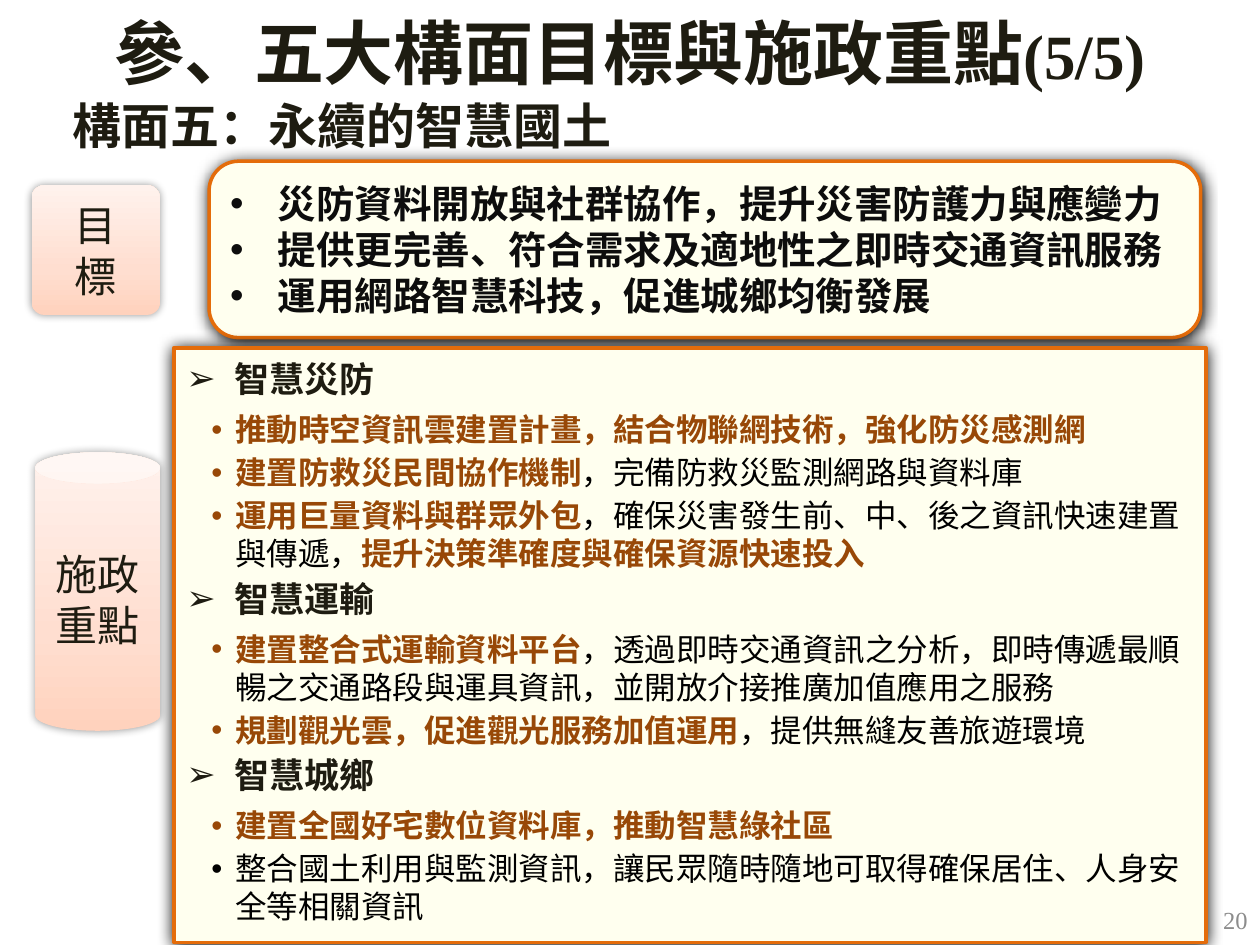
from dataclasses import dataclass

from pptx import Presentation
from pptx.dml.color import RGBColor
from pptx.enum.shapes import MSO_SHAPE
from pptx.enum.text import MSO_ANCHOR, MSO_AUTO_SIZE, PP_ALIGN
from pptx.oxml import parse_xml
from pptx.oxml.ns import nsdecls, qn
from pptx.util import Inches, Pt

INK = RGBColor(0x1E, 0x1C, 0x11)
NEAR_BLACK = RGBColor(0x0D, 0x0D, 0x0D)
BLACK = RGBColor(0x00, 0x00, 0x00)
BROWN = RGBColor(0x98, 0x48, 0x07)
GRAY = RGBColor(0x8C, 0x8C, 0x8C)
CREAM = RGBColor(0xFF, 0xFF, 0xEF)
ORANGE = RGBColor(0xE4, 0x6C, 0x0A)
PEACH_STOPS = (
    (0, RGBColor(0xFF, 0xD2, 0xBD)),
    (35, RGBColor(0xFF, 0xDE, 0xD0)),
    (100, RGBColor(0xFF, 0xF2, 0xED)),
)
SANS = "Noto Sans CJK SC"
SERIF = "Times New Roman"


@dataclass(frozen=True)
class Box:
    left: float
    top: float
    width: float
    height: float

    def lengths(self) -> tuple:
        return tuple(Inches(v) for v in (self.left, self.top, self.width, self.height))


@dataclass(frozen=True)
class TextStyle:
    size: int
    color: RGBColor
    font: str = SANS
    bold: bool = False
    align: PP_ALIGN = PP_ALIGN.LEFT
    bullet: str = ""
    margin: float = 0
    indent: float = 0
    space_after: int = 0
    level: int = 0


@dataclass(frozen=True)
class Label:
    text: str
    kind: MSO_SHAPE
    box: Box
    inset: float


@dataclass(frozen=True)
class Detail:
    strong: str = ""
    plain: str = ""
    ending: str = ""


@dataclass(frozen=True)
class Topic:
    heading: str
    details: tuple


TITLE = TextStyle(40, INK, SERIF, True, PP_ALIGN.CENTER)
SUBTITLE = TextStyle(28, INK, bold=True)
PAGE_NUMBER = TextStyle(14, GRAY, SERIF, align=PP_ALIGN.RIGHT)
LABEL = TextStyle(24, INK, align=PP_ALIGN.CENTER)
GOAL = TextStyle(22, NEAR_BLACK, bold=True, bullet="•", margin=0.38, indent=-0.38)
HEADING = TextStyle(20, INK, SERIF, True, bullet="➢", margin=0.38, indent=-0.38, space_after=6)
DETAIL = TextStyle(18, BLACK, SERIF, bullet="•", margin=0.39, indent=-0.19, space_after=3, level=1)

GOALS = (
    "災防資料開放與社群協作,提升災害防護力與應變力".replace(",", ","),
    "提供更完善、符合需求及適地性之即時交通資訊服務",
    "運用網路智慧科技,促進城鄉均衡發展".replace(",", ","),
)
TOPICS = (
    Topic("智慧災防", (
        Detail("推動時空資訊雲建置計畫\uff0c結合物聯網技術\uff0c強化防災感測網"),
        Detail("建置防救災民間協作機制", "\uff0c完備防救災監測網路與資料庫"),
        Detail("運用巨量資料與群眾外包", "\uff0c確保災害發生前、中、後之資訊快速建置與傳遞\uff0c",
               "提升決策準確度與確保資源快速投入"),
    )),
    Topic("智慧運輸", (
        Detail("建置整合式運輸資\uf9be平台",
               "\uff0c透過即時交通資訊之分析\uff0c即時傳遞最順暢之交通路段與運具資訊"
               "\uff0c並開放介接推廣加值應用之服務"),
        Detail("規劃觀光雲\uff0c促進觀光服務加值運用", "\uff0c提供無縫友善旅遊環境"),
    )),
    Topic("智慧城鄉", (
        Detail("建置全國好宅數位資料庫\uff0c推動智慧綠社區"),
        Detail(plain="整合國土利用與監測資訊\uff0c讓民眾隨時隨地可取得確保居住、人身安全等相關資訊"),
    )),
)
LABELS = (
    Label("施政重點", MSO_SHAPE.CAN, Box(0.28, 3.59, 0.99, 2.21), 0.1),
    Label("目標", MSO_SHAPE.ROUNDED_RECTANGLE, Box(0.25, 1.47, 1.02, 1.03), 0.15),
)


def next_paragraph(frame):
    first = frame.paragraphs[0]
    return frame.add_paragraph() if first.runs else first


def format_paragraph(paragraph, style: TextStyle) -> None:
    paragraph.alignment = style.align
    paragraph.level = style.level
    paragraph.space_before = Pt(0)
    paragraph.space_after = Pt(style.space_after)
    properties = paragraph._p.get_or_add_pPr()
    if style.bullet:
        properties.set("marL", str(Inches(style.margin)))
        properties.set("indent", str(Inches(style.indent)))
        properties.append(parse_xml(f'<a:buFont {nsdecls("a")} typeface="Arial"/>'))
        properties.append(parse_xml(f'<a:buChar {nsdecls("a")} char="{style.bullet}"/>'))
    font = paragraph.font
    font.size = Pt(style.size)
    font.bold = style.bold
    font.color.rgb = style.color
    font.name = style.font
    properties.find(qn("a:defRPr")).append(
        parse_xml(f'<a:ea {nsdecls("a")} typeface="{SANS}"/>'))


def write(frame, text: str, style: TextStyle):
    paragraph = next_paragraph(frame)
    paragraph.add_run().text = text
    format_paragraph(paragraph, style)
    return paragraph


def write_detail(frame, detail: Detail) -> None:
    paragraph = next_paragraph(frame)
    format_paragraph(paragraph, DETAIL)
    for text, strong in ((detail.strong, True), (detail.plain, False), (detail.ending, True)):
        if text:
            run = paragraph.add_run()
            run.text = text
            if strong:
                run.font.bold = True
                run.font.color.rgb = BROWN


def add_shadow(shape, alpha: int, blur: float, distance: float) -> None:
    shape.shadow.inherit = False
    effects = shape._element.spPr.find(qn("a:effectLst"))
    effects.append(parse_xml(
        f'<a:outerShdw {nsdecls("a")} blurRad="{Pt(blur)}" dist="{Pt(distance)}" '
        f'dir="5400000" rotWithShape="0"><a:srgbClr val="000000">'
        f'<a:alpha val="{alpha * 1000}"/></a:srgbClr></a:outerShdw>'))


def add_panel(slide, kind: MSO_SHAPE, box: Box, anchor: MSO_ANCHOR):
    shape = slide.shapes.add_shape(kind, *box.lengths())
    shape.fill.solid()
    shape.fill.fore_color.rgb = CREAM
    shape.line.color.rgb = ORANGE
    shape.line.width = Pt(2)
    add_shadow(shape, 100, 8.5, 1)
    frame = shape.text_frame
    frame.word_wrap = True
    frame.vertical_anchor = anchor
    frame.margin_left = Inches(0.1)
    frame.margin_right = frame.margin_top = frame.margin_bottom = Inches(0.08)
    return shape


def add_label(slide, label: Label) -> None:
    shape = slide.shapes.add_shape(label.kind, *label.box.lengths())
    if label.kind == MSO_SHAPE.ROUNDED_RECTANGLE:
        shape.adjustments[0] = 0.1
    shape.fill.gradient()
    shape.fill.gradient_angle = 90
    stops = shape._element.spPr.find(qn("a:gradFill")).find(qn("a:gsLst"))
    stops.clear()
    for position, color in PEACH_STOPS:
        stops.append(parse_xml(
            f'<a:gs {nsdecls("a")} pos="{position * 1000}"><a:srgbClr val="{color}"/></a:gs>'))
    shape.line.fill.background()
    add_shadow(shape, 40, 5, 0)
    frame = shape.text_frame
    frame.word_wrap = True
    frame.vertical_anchor = MSO_ANCHOR.MIDDLE
    frame.margin_left = frame.margin_right = Inches(label.inset)
    write(frame, label.text, LABEL)


def add_text(slide, box: Box, text: str, style: TextStyle, wrap: bool, anchor: MSO_ANCHOR):
    frame = slide.shapes.add_textbox(*box.lengths()).text_frame
    frame.word_wrap = wrap
    frame.vertical_anchor = anchor
    return write(frame, text, style)


presentation = Presentation()
presentation.slide_width, presentation.slide_height = Inches(10), Inches(7.5)
slide = presentation.slides.add_slide(presentation.slide_layouts[5])

title = slide.shapes.title
title.left, title.top, title.width, title.height = Box(0, 0.01, 10, 0.79).lengths()
title.text_frame.auto_size = MSO_AUTO_SIZE.NONE
title.text_frame.vertical_anchor = MSO_ANCHOR.MIDDLE
page_run = write(title.text_frame, "參、五大構面目標與施政重點", TITLE).add_run()
page_run.text = "(5/5)"
page_run.font.size = Pt(36)

subtitle = add_text(slide, Box(0.48, 0.76, 4.52, 0.53), "構面五:永續的智慧國土".replace(":", "\uff1a"),
                    SUBTITLE, False, MSO_ANCHOR.TOP)
subtitle.line_spacing = 0.9
add_text(slide, Box(7.67, 7.1, 2.33, 0.4), "20", PAGE_NUMBER, True, MSO_ANCHOR.MIDDLE)

goals = add_panel(slide, MSO_SHAPE.ROUNDED_RECTANGLE, Box(1.66, 1.28, 7.87, 1.4), MSO_ANCHOR.MIDDLE)
for goal in GOALS:
    write(goals.text_frame, goal.replace(",", "\uff0c"), GOAL)

policies = add_panel(slide, MSO_SHAPE.RECTANGLE, Box(1.38, 2.76, 8.19, 4.72), MSO_ANCHOR.TOP)
for topic in TOPICS:
    write(policies.text_frame, topic.heading, HEADING)
    for detail in topic.details:
        write_detail(policies.text_frame, detail)

for label in LABELS:
    add_label(slide, label)

presentation.save("out.pptx")
